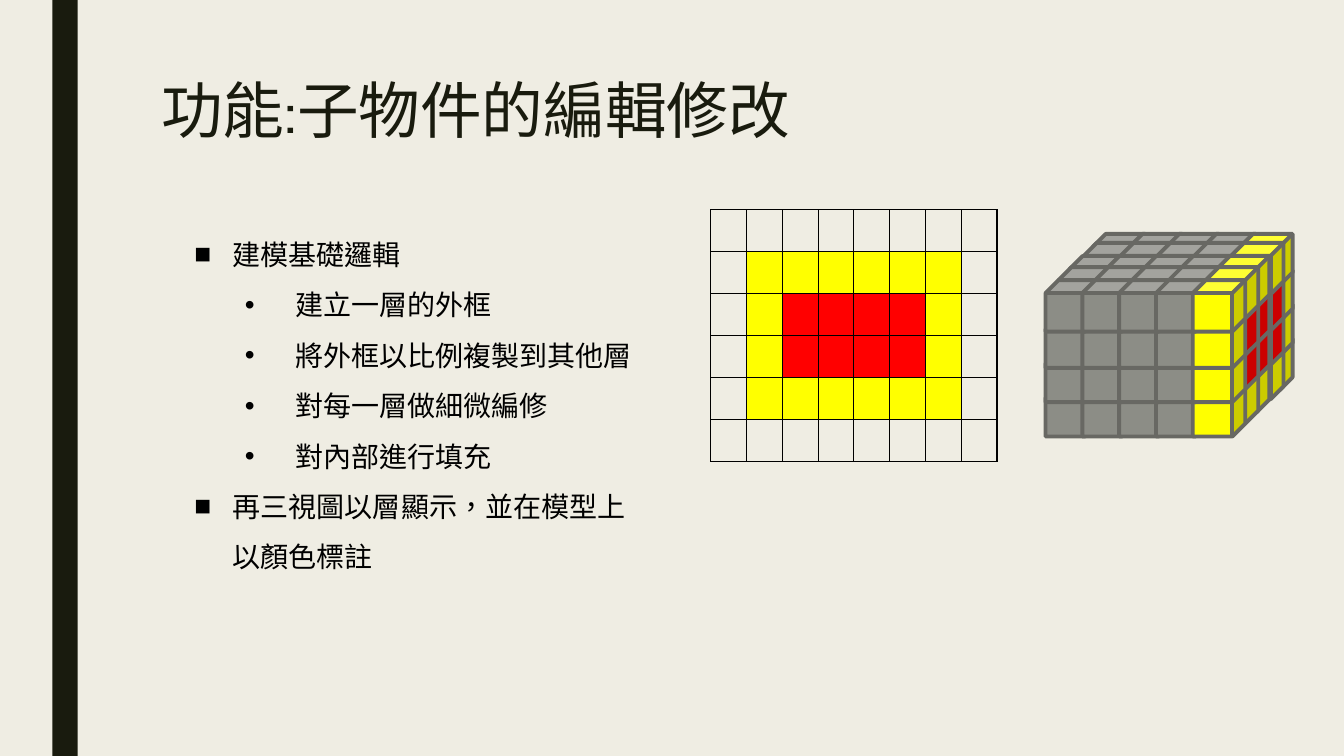
from pptx import Presentation
from pptx.dml.color import RGBColor
from pptx.enum.shapes import MSO_SHAPE
from pptx.oxml import parse_xml
from pptx.oxml.ns import nsdecls
from pptx.util import Inches, Pt

RECTANGLE, CUBE = MSO_SHAPE.RECTANGLE, MSO_SHAPE.CUBE
BACKGROUND, DARK, BLACK = "EFEDE3", "191B0E", "000000"
GRAY, EDGE, YELLOW, RED = "8C8D86", "686863", "FFFF00", "FF0000"
FONT = "Cabin"


def color(hex_text):
    return RGBColor.from_string(hex_text)


def add_solid(shapes, kind, box, fill, line=None, line_width=1):
    shape = shapes.add_shape(kind, *map(Inches, box))
    shape.shadow.inherit = False
    shape.fill.solid()
    shape.fill.fore_color.rgb = color(fill)
    if line:
        shape.line.color.rgb = color(line)
        shape.line.width = Pt(line_width)
    else:
        shape.line.fill.background()
    return shape


def write(paragraph, text, *, size, fill, spacing, bullet=None, margin=0, hanging=0):
    run = paragraph.add_run()
    run.text = text
    run.font.name = FONT
    run.font.size = Pt(size)
    run.font.color.rgb = color(fill)
    run._r.get_or_add_rPr().set("lang", "zh-TW")
    paragraph.line_spacing = spacing
    if bullet:
        properties = paragraph._p.get_or_add_pPr()
        properties.set("marL", str(Inches(margin)))
        properties.set("indent", str(-Inches(hanging)))
        for tag in ('buFont typeface="Arial"', f'buChar char="{bullet}"'):
            properties.append(parse_xml(f'<a:{tag} {nsdecls("a")}/>'))


def add_text_frame(slide, box):
    frame = slide.shapes.add_textbox(*map(Inches, box)).text_frame
    frame.word_wrap = True
    return frame


def add_title(slide, box):
    frame = add_text_frame(slide, box)
    write(frame.paragraphs[0], "功能:子物件的編輯修改", size=44, fill=DARK, spacing=0.89)


def add_outline(slide, box):
    items = [
        (0, "建模基礎邏輯"),
        (1, "建立一層的外框"),
        (1, "將外框以比例複製到其他層"),
        (1, "對每一層做細微編修"),
        (1, "對內部進行填充"),
        (0, "再三視圖以層顯示，並在模型上以顏色標註"),
    ]
    # Bullet, left margin and hanging indent of each level
    levels = [("■", 0.38, 0.38), ("•", 1, 0.5)]
    frame = add_text_frame(slide, box)
    for index, (level, text) in enumerate(items):
        paragraph = frame.add_paragraph() if index else frame.paragraphs[0]
        paragraph.level = level
        bullet, margin, hanging = levels[level]
        write(paragraph, text, size=20, fill=BLACK, spacing=1.5,
              bullet=bullet, margin=margin, hanging=hanging)


def set_borders(cell, hex_text, width):
    properties = cell._tc.get_or_add_tcPr()
    for index, side in enumerate("LRTB"):
        properties.insert(index, parse_xml(
            f'<a:ln{side} {nsdecls("a")} w="{Pt(width)}"><a:solidFill>'
            f'<a:srgbClr val="{hex_text}"/></a:solidFill></a:ln{side}>'))


def add_layer_table(slide, box, rows=6, columns=8):
    table = slide.shapes.add_table(rows, columns, *map(Inches, box)).table
    table.first_row = table.horz_banding = False
    # The fill depends on how many rings in from the edge a cell lies
    ring_fills = [None, YELLOW, RED]
    for row in range(rows):
        for column in range(columns):
            cell = table.cell(row, column)
            ring = min(row, column, rows - 1 - row, columns - 1 - column)
            if ring_fills[ring]:
                cell.fill.solid()
                cell.fill.fore_color.rgb = color(ring_fills[ring])
            else:
                cell.fill.background()
            set_borders(cell, BLACK, 1)


def add_cube_model(slide, left, top):
    layer_tops = [1.04, 0.7, 0.36, 0]  # bottom to top
    depth_offsets = [(0.47, 0), (0.38, 0.09), (0.24, 0.22), (0.13, 0.33), (0, 0.46)]  # back to front
    columns, step = 5, 0.365
    shapes = slide.shapes.add_group_shape().shapes
    for layer, layer_top in enumerate(layer_tops):
        for depth, (shift_x, shift_y) in enumerate(depth_offsets):
            inner = 0 < layer < len(layer_tops) - 1 and 0 < depth < len(depth_offsets) - 1
            for column in range(columns):
                face = RED if inner else YELLOW
                fill = face if column == columns - 1 else GRAY
                box = (left + shift_x + column * step, top + layer_top + shift_y, 0.52, 0.51)
                add_solid(shapes, CUBE, box, fill, EDGE, 2.75)


def build_slide(presentation):
    slide = presentation.slides.add_slide(presentation.slide_layouts[6])
    slide.background.fill.solid()
    slide.background.fill.fore_color.rgb = color(BACKGROUND)
    # Side band
    add_solid(slide.shapes, RECTANGLE, (0.52, 0, 0.25, 7.5), DARK)
    add_title(slide, (1.5, 0.75, 10.5, 1.07))
    add_cube_model(slide, 10.37, 2.32)
    add_layer_table(slide, (7.05, 2.08, 2.84, 2.5))
    add_outline(slide, (1.83, 2.14, 4.55, 4.48))


presentation = Presentation()
presentation.slide_width, presentation.slide_height = Inches(13.33), Inches(7.5)
build_slide(presentation)
presentation.save("out.pptx")
